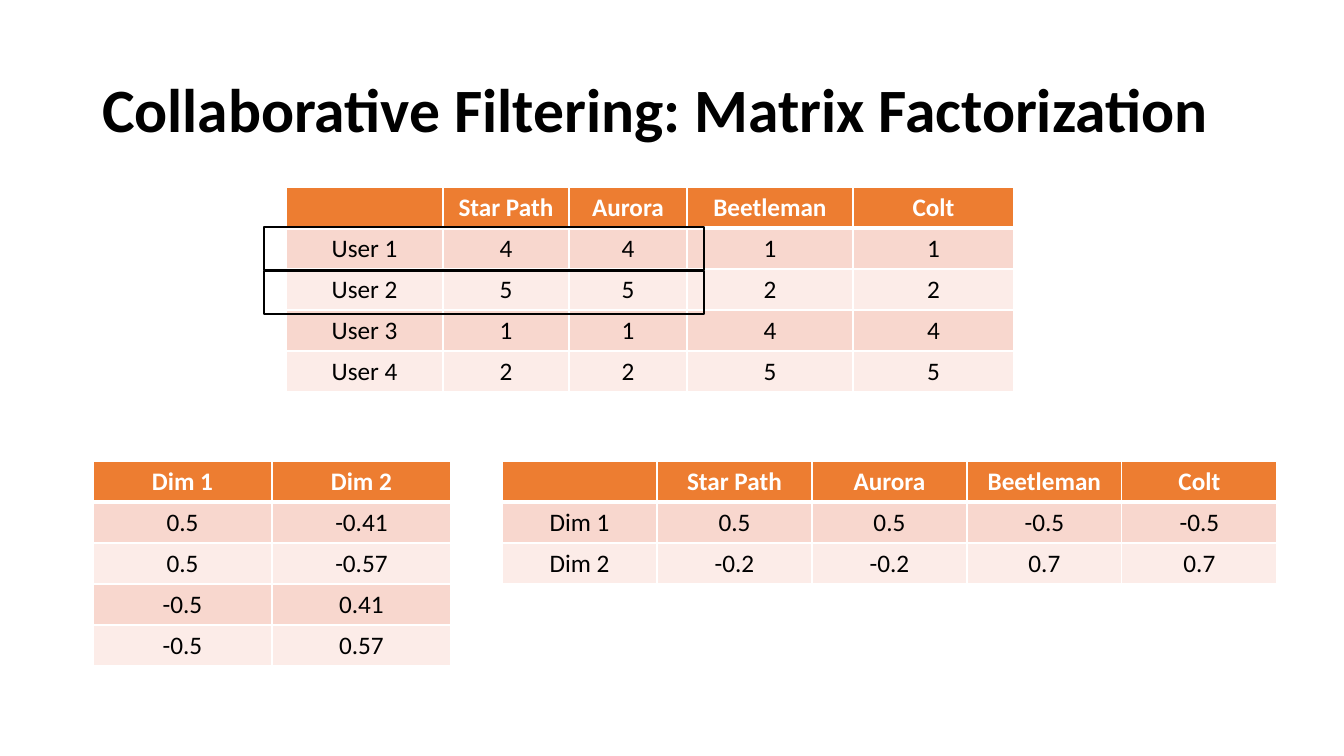
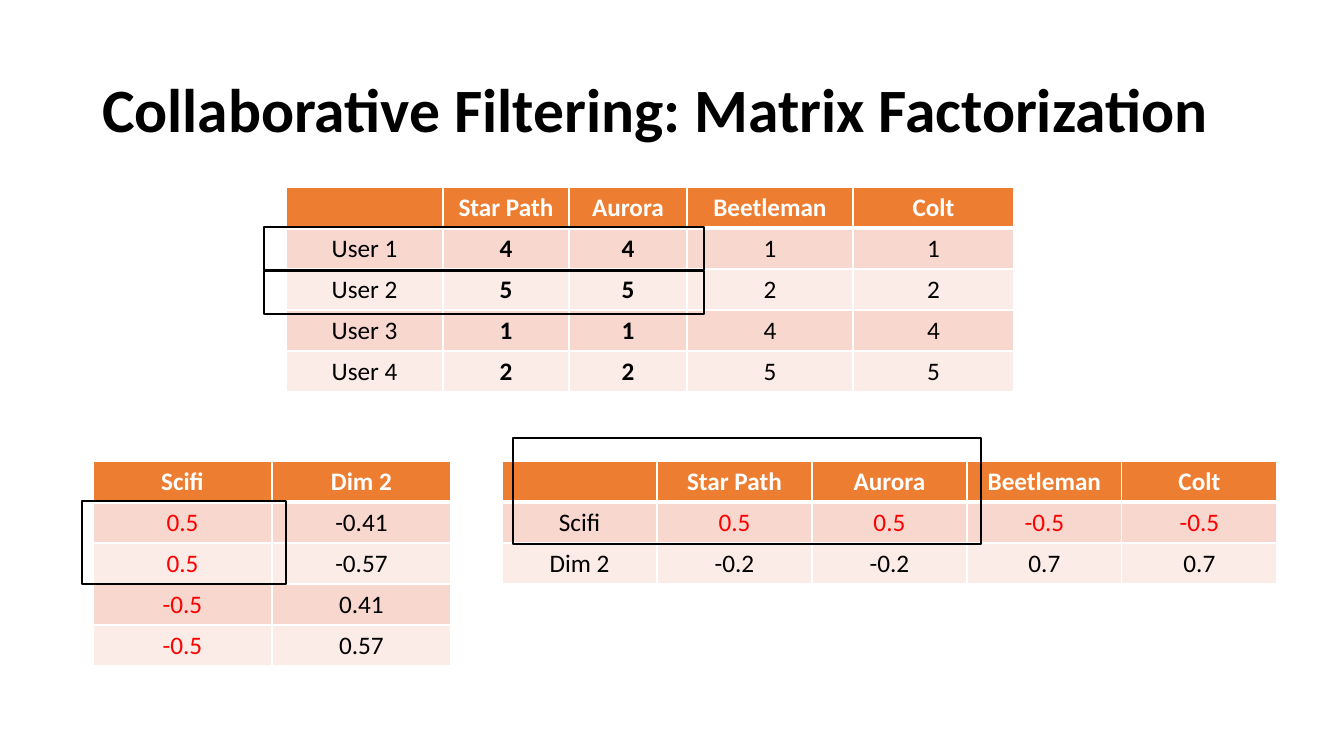
from dataclasses import dataclass, replace
from itertools import product

from lxml import etree
from pptx import Presentation
from pptx.dml.color import RGBColor
from pptx.enum.shapes import MSO_SHAPE, PP_PLACEHOLDER
from pptx.enum.text import MSO_ANCHOR, MSO_AUTO_SIZE, PP_ALIGN
from pptx.oxml.ns import qn
from pptx.util import Emu, Pt

RECTANGLE = MSO_SHAPE.RECTANGLE
TITLE = PP_PLACEHOLDER.TITLE
MIDDLE = MSO_ANCHOR.MIDDLE
NO_AUTOFIT = MSO_AUTO_SIZE.NONE
LEFT, CENTER = PP_ALIGN.LEFT, PP_ALIGN.CENTER

EMU_PER_PIXEL = 914400 / 100.8
TITLE_ONLY_LAYOUT = 5
ROW_HEIGHT = 41


@dataclass(frozen=True)
class Theme:
    font: str = "Calibri"
    title_size: int = 44
    table_size: int = 18
    text: str = "000000"
    header_text: str = "FFFFFF"
    accent_text: str = "FF0000"
    header_fill: str = "ED7D31"
    band_fills: tuple[str, str] = ("F8D7CE", "FCECE8")
    grid: str = "FFFFFF"
    grid_width: int = 1
    header_rule_width: int = 3
    outline: str = "000000"
    outline_width: int = 1


@dataclass(frozen=True)
class Area:
    left: int
    top: int
    width: int
    height: int


@dataclass(frozen=True)
class Matrix:
    left: int
    top: int
    widths: tuple[int, ...]
    rows: tuple[tuple[str, ...], ...]
    bold_cells: frozenset[tuple[int, int]] = frozenset()
    accent_cells: frozenset[tuple[int, int]] = frozenset()


@dataclass(frozen=True)
class Page:
    title: str
    matrices: tuple[Matrix, ...]
    highlights: tuple[Area, ...]


THEME = Theme()
TITLE_AREA = Area(92, 40, 1160, 146)


def px(pixels: int) -> Emu:
    return Emu(round(pixels * EMU_PER_PIXEL))


def place(shape, area: Area) -> None:
    shape.left, shape.top = px(area.left), px(area.top)
    shape.width, shape.height = px(area.width), px(area.height)


def add_span(para, text: str, size: int, color: str, bold: bool) -> None:
    span = para.add_run()
    span.text = text
    span.font.name = THEME.font
    span.font.size = Pt(size)
    span.font.bold = bold
    span.font.color.rgb = RGBColor.from_string(color)


# Shared title style
def format_layout_title(layout) -> None:
    for holder in layout.placeholders:
        if holder.placeholder_format.type == TITLE:
            place(holder, TITLE_AREA)


def write_title(slide, text: str) -> None:
    frame = slide.shapes.title.text_frame
    frame.vertical_anchor = MIDDLE
    frame.auto_size = NO_AUTOFIT
    frame.word_wrap = True
    para = frame.paragraphs[0]
    para.alignment = LEFT
    para.line_spacing = 0.9
    add_span(para, text, THEME.title_size, THEME.text, True)


# Tables
def add_border(cell, side: str, points: int) -> None:
    properties = cell._tc.get_or_add_tcPr()
    line = etree.SubElement(properties, qn(f"a:ln{side}"), w=str(Pt(points)))
    fill = etree.SubElement(line, qn("a:solidFill"))
    etree.SubElement(fill, qn("a:srgbClr"), val=THEME.grid)


def format_cell(cell, matrix: Matrix, row: int, column: int) -> None:
    is_header = row == 0
    for side in "LRTB":
        on_rule = (row, side) in ((0, "B"), (1, "T"))
        add_border(cell, side, THEME.header_rule_width if on_rule else THEME.grid_width)
    cell.fill.solid()
    fill = THEME.header_fill if is_header else THEME.band_fills[(row - 1) % 2]
    cell.fill.fore_color.rgb = RGBColor.from_string(fill)
    para = cell.text_frame.paragraphs[0]
    para.alignment = CENTER
    text = matrix.rows[row][column]
    if not text:
        return
    color = THEME.header_text if is_header else THEME.text
    if (row, column) in matrix.accent_cells:
        color = THEME.accent_text
    bold = is_header or (row, column) in matrix.bold_cells
    add_span(para, text, THEME.table_size, color, bold)


def add_matrix(slide, matrix: Matrix) -> None:
    row_count, column_count = len(matrix.rows), len(matrix.widths)
    table = slide.shapes.add_table(
        row_count, column_count, px(matrix.left), px(matrix.top),
        px(sum(matrix.widths)), px(row_count * ROW_HEIGHT),
    ).table
    table.first_row = table.horz_banding = False
    for column, width in zip(table.columns, matrix.widths):
        column.width = px(width)
    for row in table.rows:
        row.height = px(ROW_HEIGHT)
    for row, column in product(range(row_count), range(column_count)):
        format_cell(table.cell(row, column), matrix, row, column)


# Outlines around related cells
def add_highlight(slide, area: Area) -> None:
    box = slide.shapes.add_shape(RECTANGLE, 0, 0, 0, 0)
    place(box, area)
    box.shadow.inherit = False
    box.fill.background()
    box.line.color.rgb = RGBColor.from_string(THEME.outline)
    box.line.width = Pt(THEME.outline_width)


# Content
MOVIES = ("", "Star Path", "Aurora", "Beetleman", "Colt")
RATINGS = Matrix(286, 187, (157, 126, 118, 166, 161), (
    MOVIES,
    ("User 1", "4", "4", "1", "1"),
    ("User 2", "5", "5", "2", "2"),
    ("User 3", "1", "1", "4", "4"),
    ("User 4", "2", "2", "5", "5"),
))
USER_HIGHLIGHTS = tuple(Area(264, top, 440, 43) for top in (227, 271))


def user_factors(first_dimension: str) -> Matrix:
    return Matrix(93, 461, (179,) * 2, (
        (first_dimension, "Dim 2"),
        ("0.5", "-0.41"),
        ("0.5", "-0.57"),
        ("-0.5", "0.41"),
        ("-0.5", "0.57"),
    ))


def movie_factors(first_dimension: str) -> Matrix:
    return Matrix(502, 461, (155,) * 5, (
        MOVIES,
        (first_dimension, "0.5", "0.5", "-0.5", "-0.5"),
        ("Dim 2", "-0.2", "-0.2", "0.7", "0.7"),
    ))


HEADING = "Collaborative Filtering: Matrix Factorization"
PAGES = (
    Page(
        HEADING,
        (RATINGS, user_factors("Dim 1"), movie_factors("Dim 1")),
        USER_HIGHLIGHTS,
    ),
    Page(
        HEADING,
        (
            replace(RATINGS, bold_cells=frozenset(product(range(1, 5), (1, 2)))),
            replace(user_factors("Scifi"),
                    accent_cells=frozenset(product(range(1, 5), (0,)))),
            replace(movie_factors("Scifi"),
                    accent_cells=frozenset(product((1,), range(1, 5)))),
        ),
        USER_HIGHLIGHTS + (Area(82, 501, 204, 83), Area(513, 438, 468, 106)),
    ),
)


# Build the deck
def build_page(deck, page: Page) -> None:
    slide = deck.slides.add_slide(deck.slide_layouts[TITLE_ONLY_LAYOUT])
    write_title(slide, page.title)
    for matrix in page.matrices:
        add_matrix(slide, matrix)
    for area in page.highlights:
        add_highlight(slide, area)


def main() -> None:
    deck = Presentation()
    deck.slide_width, deck.slide_height = px(1344), px(756)
    format_layout_title(deck.slide_layouts[TITLE_ONLY_LAYOUT])
    for page in PAGES:
        build_page(deck, page)
    deck.save("out.pptx")


main()
